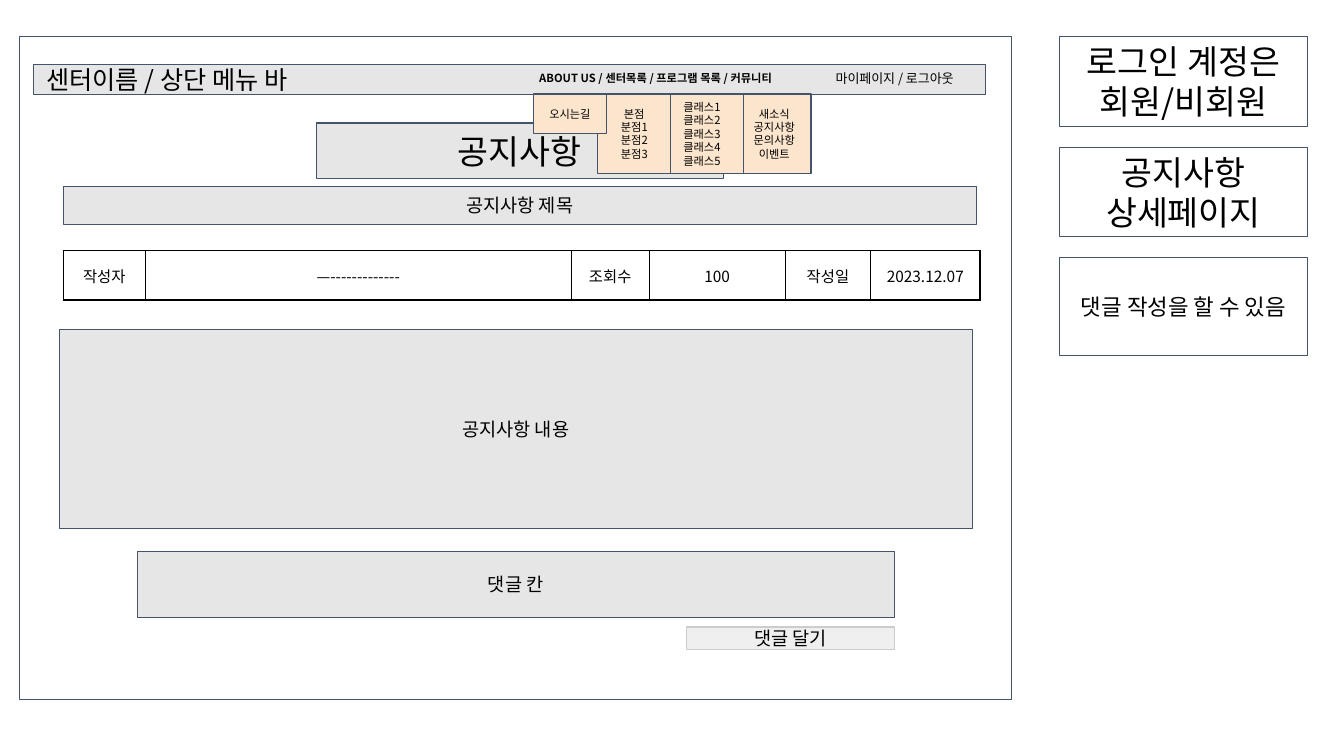
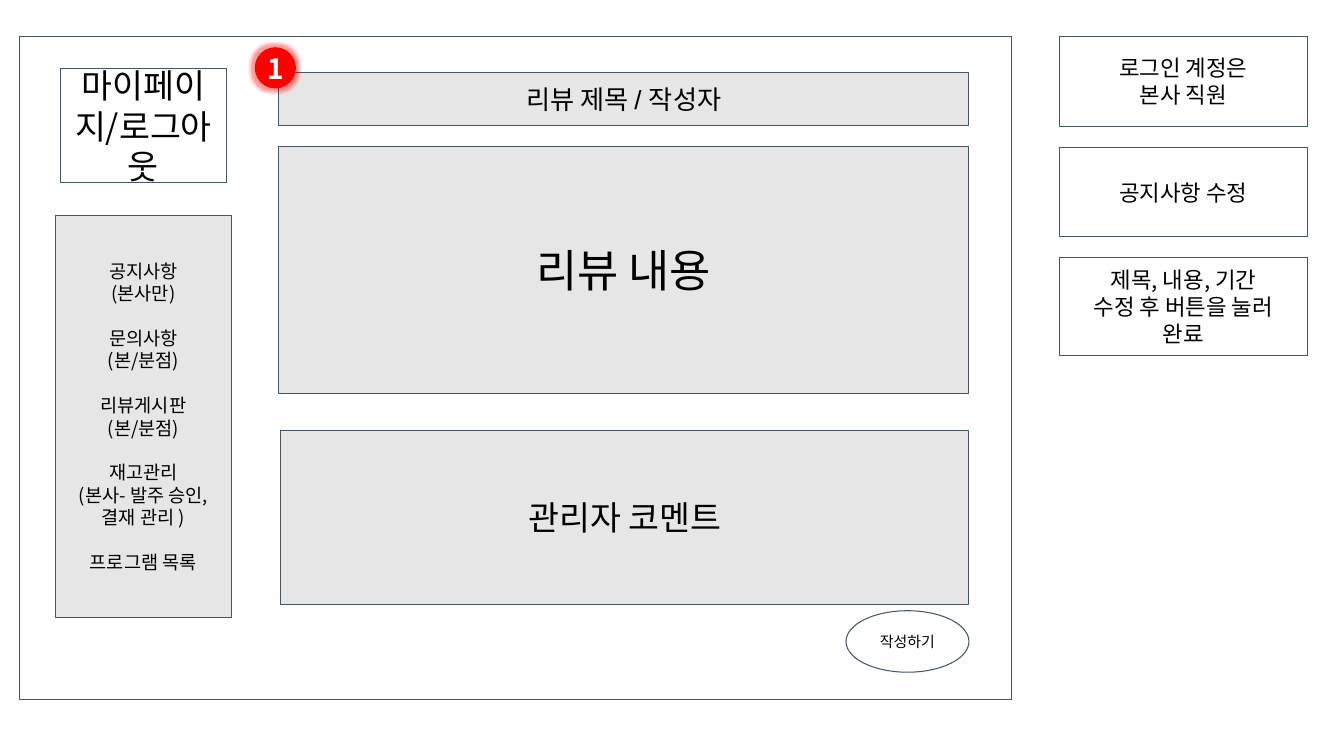
from dataclasses import dataclass

from lxml import etree
from pptx import Presentation
from pptx.dml.color import RGBColor
from pptx.enum import shapes, text
from pptx.oxml import ns
from pptx.util import Cm, Pt


@dataclass(frozen=True)
class Theme:
    font: str = "Noto Sans CJK KR"
    font_alt: str = "Arial"
    ink: str = "000000"
    white: str = "FFFFFF"
    edge: str = "44546A"
    panel: str = "E7E6E6"
    button: str = "EFEFEF"
    button_edge: str = "CCCCCC"
    menu: str = "FCE5CD"
    badge: str = "FF0000"
    line: float = 0.75
    inset: float = 0.33
    huge: float = 32
    title: float = 24
    number: float = 20
    heading: float = 18.7
    bar: float = 18
    note: float = 16
    body: float = 13.3
    cell: float = 11
    action: float = 10.7
    account: float = 9.3
    small: float = 8


THEME = Theme()
CENTER, LEFT = text.PP_ALIGN.CENTER, text.PP_ALIGN.LEFT
MIDDLE, TOP = text.MSO_ANCHOR.MIDDLE, text.MSO_ANCHOR.TOP
RECTANGLE, OVAL = shapes.MSO_SHAPE.RECTANGLE, shapes.MSO_SHAPE.OVAL


def color(value):
    return RGBColor.from_string(value)


def lengths(*values):
    return [Cm(value) for value in values]


def write(frame, content, size=THEME.body, font=THEME.font, ink=THEME.ink,
          bold=False, align=CENTER, anchor=MIDDLE, inset=THEME.inset, gap=0):
    """Fill a frame with one paragraph a line; a blank line adds a gap in points."""
    frame.word_wrap = True
    frame.vertical_anchor = anchor
    frame.margin_left = frame.margin_right = Cm(inset)
    frame.margin_top = frame.margin_bottom = Cm(inset)
    first = True
    for block in content.split("\n\n"):
        for index, line in enumerate(block.split("\n")):
            para = frame.paragraphs[0] if first else frame.add_paragraph()
            para.alignment = align
            if index == 0 and not first:
                para.space_before = Pt(gap)
            first = False
            span = para.add_run()
            span.text = line
            span.font.size, span.font.bold = Pt(size), bold
            span.font.name = font
            span.font.color.rgb = color(ink)
            east = etree.SubElement(span.font._element, ns.qn("a:ea"))
            east.set("typeface", THEME.font)


def add_box(page, left, top, width, height, content="", kind=RECTANGLE,
            fill=THEME.panel, edge=THEME.edge, **style):
    box = page.shapes.add_shape(kind, *lengths(left, top, width, height))
    box.shadow.inherit = False
    box.fill.solid()
    box.fill.fore_color.rgb = color(fill)
    if edge:
        box.line.color.rgb = color(edge)
        box.line.width = Pt(THEME.line)
    else:
        box.line.fill.background()
    if content:
        write(box.text_frame, content, **style)
    return box


def add_label(page, left, top, width, height, content, **style):
    label = page.shapes.add_textbox(*lengths(left, top, width, height))
    write(label.text_frame, content, align=LEFT, anchor=TOP, **style)


def add_frame(page, notes):
    """Place the screen outline and the column of (text, size) notes beside it."""
    add_box(page, 0.5, 0.92, 25, 16.7, fill=THEME.white)
    for row, (content, size) in enumerate(notes):
        height = 2.46 if row == 2 else 2.26
        add_box(page, 26.7, 0.92 + row * 2.79, 6.25, height, content,
                fill=THEME.white, size=size)


def add_menu_bar(page, left, top, width, height):
    add_box(page, left, top, width, height, "센터이름 / 상단 메뉴 바",
            size=THEME.bar, align=LEFT)
    add_label(page, left + 19.89, top - 0.05, 5.23, 0.6, "마이페이지 / 로그아웃",
              size=THEME.account)
    add_label(page, left + 12.42, top, 8.36, 1,
              "ABOUT US / 센터목록 / 프로그램 목록 / 커뮤니티",
              size=THEME.small, bold=True)
    dropdowns = [
        (17.75, 2, CENTER, "새소식\n공지사항\n문의사항\n이벤트"),
        (14.22, 2, CENTER, "본점\n분점1\n분점2\n분점3"),
        (16.05, 2, LEFT, "클래스1\n클래스2\n클래스3\n클래스4\n클래스5"),
        (12.6, 1, CENTER, "오시는길"),
    ]
    for offset, units, align, content in dropdowns:
        add_box(page, left + offset, top + 0.74, 1.85, units, content,
                fill=THEME.menu, size=THEME.small, align=align)


def add_cell_borders(cell):
    properties = cell._tc.get_or_add_tcPr()
    for position, side in enumerate(("lnL", "lnR", "lnT", "lnB")):
        border = etree.Element(ns.qn("a:" + side), w=str(Pt(1)))
        paint = etree.SubElement(border, ns.qn("a:solidFill"))
        etree.SubElement(paint, ns.qn("a:srgbClr"), val=THEME.ink)
        properties.insert(position, border)


def add_post_details(page, left, top, height):
    details = [("작성자", 2.06), ("—-------------", 10.74), ("조회수", 1.96),
               ("100", 3.43), ("작성일", 2.15), ("2023.12.07", 2.76)]
    total = sum(width for _, width in details)
    table = page.shapes.add_table(
        1, len(details), *lengths(left, top, total, height)).table
    table.first_row = table.horz_banding = False
    for index, (content, width) in enumerate(details):
        table.columns[index].width = Cm(width)
        cell = table.cell(0, index)
        cell.fill.background()
        cell.vertical_anchor = MIDDLE
        cell.margin_left = cell.margin_right = Cm(THEME.inset)
        cell.margin_top = cell.margin_bottom = Cm(THEME.inset)
        write(cell.text_frame, content, size=THEME.cell)
        add_cell_borders(cell)


def add_badge(page, left, top, size, content):
    badge = add_box(page, left, top, size, size, content, kind=OVAL,
                    fill=THEME.badge, edge=None, size=THEME.number,
                    ink=THEME.white, bold=True, inset=0)
    effects = badge._element.spPr.find(ns.qn("a:effectLst"))
    glow = etree.SubElement(effects, ns.qn("a:glow"), rad=str(Pt(5)))
    tint = etree.SubElement(glow, ns.qn("a:srgbClr"), val=THEME.badge)
    etree.SubElement(tint, ns.qn("a:alpha"), val="40000")


def build_notice_page(page):
    add_frame(page, [("로그인 계정은\n회원/비회원", THEME.title),
                     ("공지사항 상세페이지", THEME.title),
                     ("댓글 작성을 할 수 있음", THEME.note)])
    add_box(page, 7.97, 3.1, 10.26, 1.4, "공지사항", size=THEME.title)
    add_box(page, 1.6, 4.7, 23, 0.95, "공지사항 제목")
    add_post_details(page, 1.6, 6.32, 1.24)
    add_box(page, 1.5, 8.3, 23, 5.02, "공지사항 내용")
    add_box(page, 3.46, 13.9, 19.08, 1.66, "댓글 칸")
    add_box(page, 17.3, 15.8, 5.24, 0.57, "댓글 달기",
            fill=THEME.button, edge=THEME.button_edge)
    add_menu_bar(page, 0.84, 1.63, 24, 0.76)


def add_side_menu(page, left, top):
    add_box(page, left + 0.13, top, 4.17, 2.87, "마이페이지/로그아웃",
            fill=THEME.white, size=THEME.title)
    add_box(page, left, top + 3.7, 4.43, 10.13,
            "공지사항\n(본사만)\n\n문의사항\n(본/분점)\n\n리뷰게시판\n(본/분점)\n\n"
            "재고관리\n(본사- 발주 승인, 결재 관리 )\n\n프로그램 목록", gap=16)


def add_review(page, left, top, width):
    panels = [(0, 0, 1.34, "리뷰 제목\u00a0/ 작성자", THEME.heading),
              (0, 1.87, 6.23, "리뷰 내용", THEME.huge),
              (0.06, 9.02, 4.4, "관리자 코멘트", THEME.title)]
    for indent, offset, height, content, size in panels:
        add_box(page, left + indent, top + offset, width - indent, height,
                content, size=size, font=THEME.font_alt, inset=0.25)
    add_box(page, left + width - 3.1, top + 13.57, 3.1, 1.55, "작성하기",
            kind=OVAL, fill=THEME.white, size=THEME.action)
    add_badge(page, left - 0.6, top - 0.63, 1.04, "1")


def build_review_page(page):
    add_frame(page, [("로그인 계정은\n본사 직원", THEME.note),
                     ("공지사항 수정", THEME.note),
                     ("제목, 내용, 기간\n수정 후 버튼을 눌러 완료", THEME.note)])
    add_side_menu(page, 1.4, 1.73)
    add_review(page, 7.02, 1.82, 17.4)


def main():
    deck = Presentation()
    deck.slide_width, deck.slide_height = Cm(33.87), Cm(19.05)
    for build in (build_notice_page, build_review_page):
        build(deck.slides.add_slide(deck.slide_layouts[6]))
    deck.save("out.pptx")


if __name__ == "__main__":
    main()
